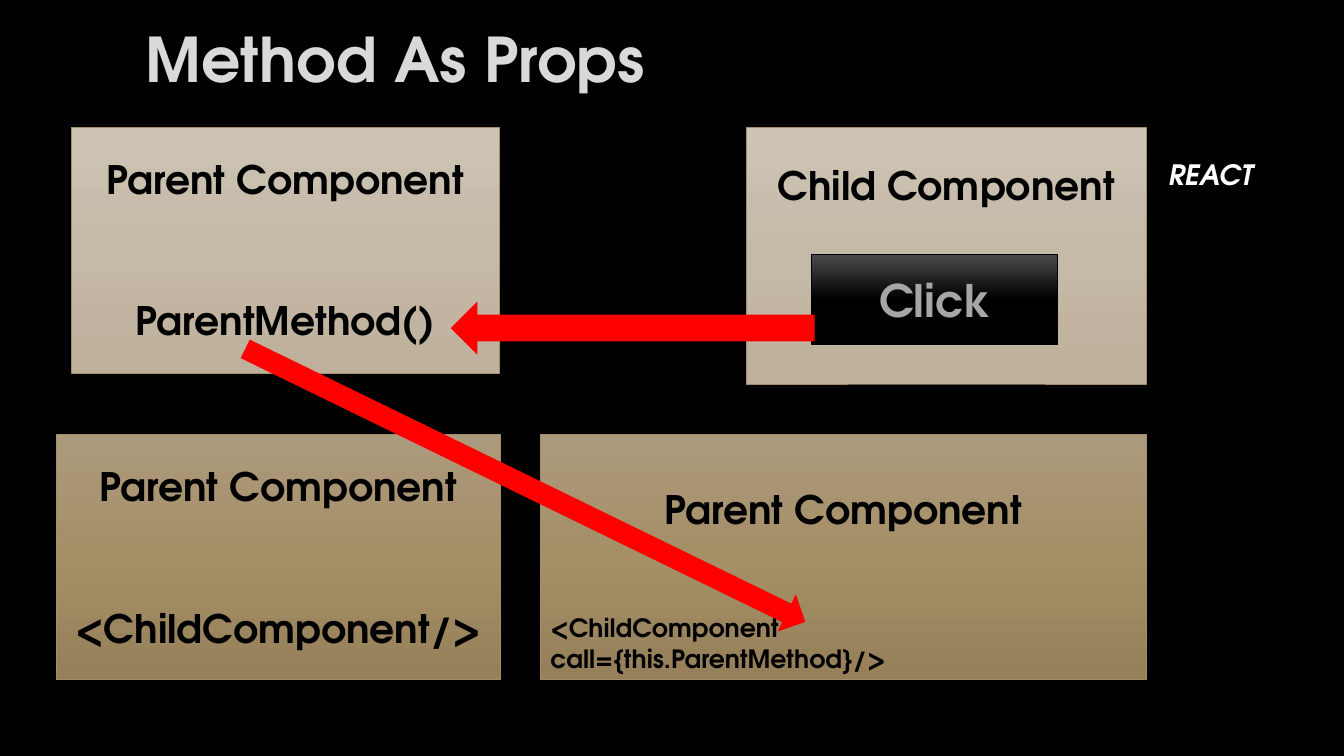
from copy import deepcopy
from dataclasses import dataclass

from pptx import Presentation
from pptx.dml.color import RGBColor as RGB
from pptx.enum.shapes import MSO_SHAPE as SHAPE
from pptx.enum.text import MSO_ANCHOR as ANCHOR, PP_ALIGN as ALIGN
from pptx.oxml.ns import qn
from pptx.util import Inches, Pt


@dataclass(frozen=True)
class Theme:
    font: str = "TeX Gyre Adventor"
    black: str = "000000"
    white: str = "FFFFFF"
    title: str = "D9D9D9"
    click: str = "A6A6A6"
    arrow: str = "FF0000"
    border: str = "A28E6A"
    light: tuple = ("CDC4B4", "C5B9A8", "BEB09A")
    dark: tuple = ("AC9A7C", "A58F67", "968059")
    button: tuple = ("4B4B4B", "000000", "000000")
    title_size: int = 44
    click_size: int = 32
    panel_size: int = 28
    tag_size: int = 20
    code_size: int = 18


T = Theme()
prs = Presentation()
prs.slide_width, prs.slide_height = Inches(13.33), Inches(7.5)
s = prs.slides.add_slide(prs.slide_layouts[6])
s.background.fill.solid()
s.background.fill.fore_color.rgb = RGB.from_string(T.black)


def write(sp, lines, size, color, align, anchor):
    tf = sp.text_frame
    tf.word_wrap = True
    tf.vertical_anchor = anchor
    tf.text = "\n".join(lines)
    for p in tf.paragraphs:
        p.alignment = align
        p.font.name, p.font.size, p.font.bold = T.font, Pt(size), True
        p.font.color.rgb = RGB.from_string(color)
    return tf


def gradient_box(kind, box, colors, border):
    sp = s.shapes.add_shape(kind, *map(Inches, box))
    sp.shadow.inherit = False
    sp.fill.gradient()
    sp.fill.gradient_angle = 270
    first = sp._element.spPr.find(".//" + qn("a:gs"))
    first.addnext(deepcopy(first))
    for stop, position, color in zip(sp.fill.gradient_stops, (0, 0.5, 1), colors):
        stop.position = position
        stop.color.rgb = RGB.from_string(color)
    sp.line.color.rgb = RGB.from_string(border)
    sp.line.width = Pt(0.5)
    return sp


# Title and corner tag
for box, text, size, color, anchor in [
    ((11.49, 1.51, 1.05, 0.44), "REACT", T.tag_size, T.white, ANCHOR.MIDDLE),
    ((1.35, 0, 10.03, 1), "Method As Props", T.title_size, T.title, ANCHOR.BOTTOM),
]:
    sp = s.shapes.add_textbox(*map(Inches, box))
    tf = write(sp, [text], size, color, ALIGN.LEFT, anchor)
    if text == "REACT":
        tf.word_wrap = False
        tf.paragraphs[0].font.italic = True
    else:
        tf.paragraphs[0].line_spacing = 0.9

# Component panels: box, colours, top inset, lines
panels = [
    ((0.71, 1.26, 4.24, 2.44), T.light, 0.28, ["Parent Component", "ParentMethod()"]),
    ((7.4, 1.26, 3.97, 2.55), T.light, 0.34, ["Child Component"]),
    ((0.56, 4.31, 4.4, 2.43), T.dark, 0.28, ["Parent Component", "<ChildComponent/>"]),
    ((5.36, 4.31, 6.01, 2.43), T.dark, 0.51, ["Parent Component"]),
]
for box, colors, inset, lines in panels:
    sp = gradient_box(SHAPE.RECTANGLE, box, colors, T.border)
    tf = write(sp, lines, T.panel_size, T.black, ALIGN.CENTER, ANCHOR.TOP)
    tf.margin_top = Inches(inset)
    for p in tf.paragraphs[1:]:
        p.space_before = Pt(67.5)

# Click button
sp = gradient_box(SHAPE.ROUNDED_RECTANGLE, (8.05, 2.52, 2.44, 0.9), T.button, T.black)
sp.adjustments[0] = 0
write(sp, ["Click"], T.click_size, T.click, ALIGN.CENTER, ANCHOR.MIDDLE)

# Arrows: child to method, method to prop
for box, rotation in [((4.47, 2.99, 3.61, 0.53), 0), ((2.12, 4.61, 6.18, 0.41), 206)]:
    sp = s.shapes.add_shape(SHAPE.LEFT_ARROW, *map(Inches, box))
    sp.shadow.inherit = False
    sp.rotation = rotation
    sp.fill.solid()
    sp.fill.fore_color.rgb = RGB.from_string(T.arrow)
    sp.line.fill.background()

# Method passed to the child
sp = s.shapes.add_textbox(Inches(5.36), Inches(6.03), Inches(5.5), Inches(0.71))
write(sp, ["<ChildComponent call={this.ParentMethod}/>"], T.code_size, T.black,
      ALIGN.LEFT, ANCHOR.TOP)

prs.save("out.pptx")
